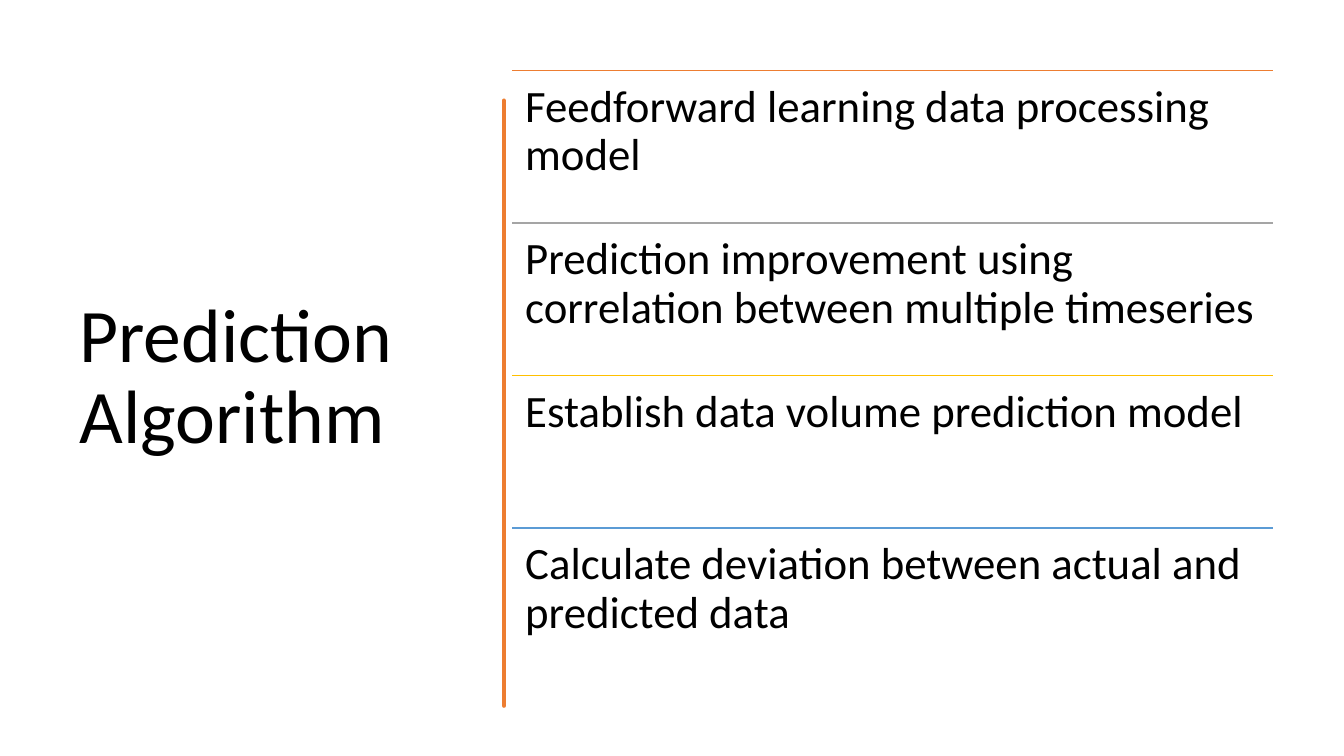
import pptx
import pptx.util
from lxml import etree
from pptx.dml.color import RGBColor
from pptx.enum.shapes import MSO_CONNECTOR
from pptx.enum.text import MSO_ANCHOR, MSO_AUTO_SIZE, PP_ALIGN
from pptx.oxml.ns import qn
from pptx.util import Inches, Pt

BLACK = RGBColor(0x00, 0x00, 0x00)
ORANGE = RGBColor(0xED, 0x7D, 0x31)
GRAY = RGBColor(0xA5, 0xA5, 0xA5)
GOLD = RGBColor(0xFF, 0xC0, 0x00)
BLUE = RGBColor(0x5B, 0x9B, 0xD5)
FONT = "Calibri"

SLIDE_W, SLIDE_H = Inches(13.333), Inches(7.5)
TOP = Inches(0.7)
LIST_LEFT, LIST_W = Inches(5.08), Inches(7.55)
ROW_H = Inches(1.513)
INSET = Inches(0.13)

STEPS = [
    ("Feedforward learning data processing model", ORANGE),
    ("Prediction improvement using correlation between multiple timeseries", GRAY),
    ("Establish data volume prediction model", GOLD),
    ("Calculate deviation between actual and predicted data", BLUE),
]

# Edges of the hand-drawn bar as (x, y) in inches: right downwards, left upwards
BAR_RIGHT = [(4.75, 0.84), (4.76, 1.1), (4.75, 1.46), (4.74, 1.75), (4.75, 2.26),
             (4.75, 2.94), (4.76, 3.25), (4.75, 3.56), (4.76, 3.95), (4.75, 4.36),
             (4.74, 4.7), (4.75, 5.1), (4.76, 5.45), (4.75, 5.84), (4.74, 6.15),
             (4.75, 6.76)]
BAR_LEFT = [(4.73, 6.76), (4.72, 6.45), (4.73, 6.13), (4.73, 5.57), (4.72, 5.2),
            (4.73, 4.77), (4.72, 4.45), (4.73, 4.15), (4.72, 3.75), (4.73, 3.35),
            (4.72, 2.9), (4.73, 2.5), (4.74, 2.1), (4.73, 1.81), (4.72, 1.6),
            (4.73, 1.2), (4.73, 0.84)]


def format_text(tf, text, size):
    tf.word_wrap = True
    tf.auto_size = MSO_AUTO_SIZE.NONE
    tf.text = text
    p = tf.paragraphs[0]
    p.alignment = PP_ALIGN.LEFT
    p.line_spacing = 0.9
    font = p.runs[0].font
    font.name, font.size, font.color.rgb = FONT, Pt(size), BLACK


def set_title(s, text):
    title = s.shapes.title
    title.left, title.top = Inches(0.69), TOP
    title.width, title.height = Inches(3.74), Inches(6.11)
    format_text(title.text_frame, text, 54)
    title.text_frame.vertical_anchor = MSO_ANCHOR.MIDDLE


def add_bar(s):
    start, *rest = BAR_RIGHT + BAR_LEFT
    builder = s.shapes.build_freeform(*start, scale=Inches(1))
    builder.add_line_segments(rest, close=True)
    sp = builder.convert_to_shape()
    sp.shadow.inherit = False
    sp.fill.solid()
    sp.fill.fore_color.rgb = ORANGE
    sp.line.color.rgb = ORANGE
    sp.line.width = Pt(3.25)
    etree.SubElement(sp.line._get_or_add_ln(), qn("a:round"))


def add_rule(s, y, color):
    line = s.shapes.add_connector(MSO_CONNECTOR.STRAIGHT, LIST_LEFT, y,
                                  LIST_LEFT + LIST_W, y)
    line.line.color.rgb = color
    line.line.width = Pt(1)
    etree.SubElement(line._element.spPr, qn("a:effectLst"))


def add_step(s, row, text, color):
    y = TOP + row * ROW_H
    add_rule(s, y, color)
    tf = s.shapes.add_textbox(LIST_LEFT, y, LIST_W, ROW_H).text_frame
    tf.margin_left = tf.margin_right = tf.margin_top = tf.margin_bottom = INSET
    format_text(tf, text, 32)


def main():
    prs = pptx.Presentation()
    prs.slide_width, prs.slide_height = SLIDE_W, SLIDE_H
    s = prs.slides.add_slide(prs.slide_layouts.get_by_name("Title Only"))
    set_title(s, "Prediction Algorithm")
    add_bar(s)
    for row, (text, color) in enumerate(STEPS):
        add_step(s, row, text, color)
    prs.save("out.pptx")


if __name__ == "__main__":
    main()
